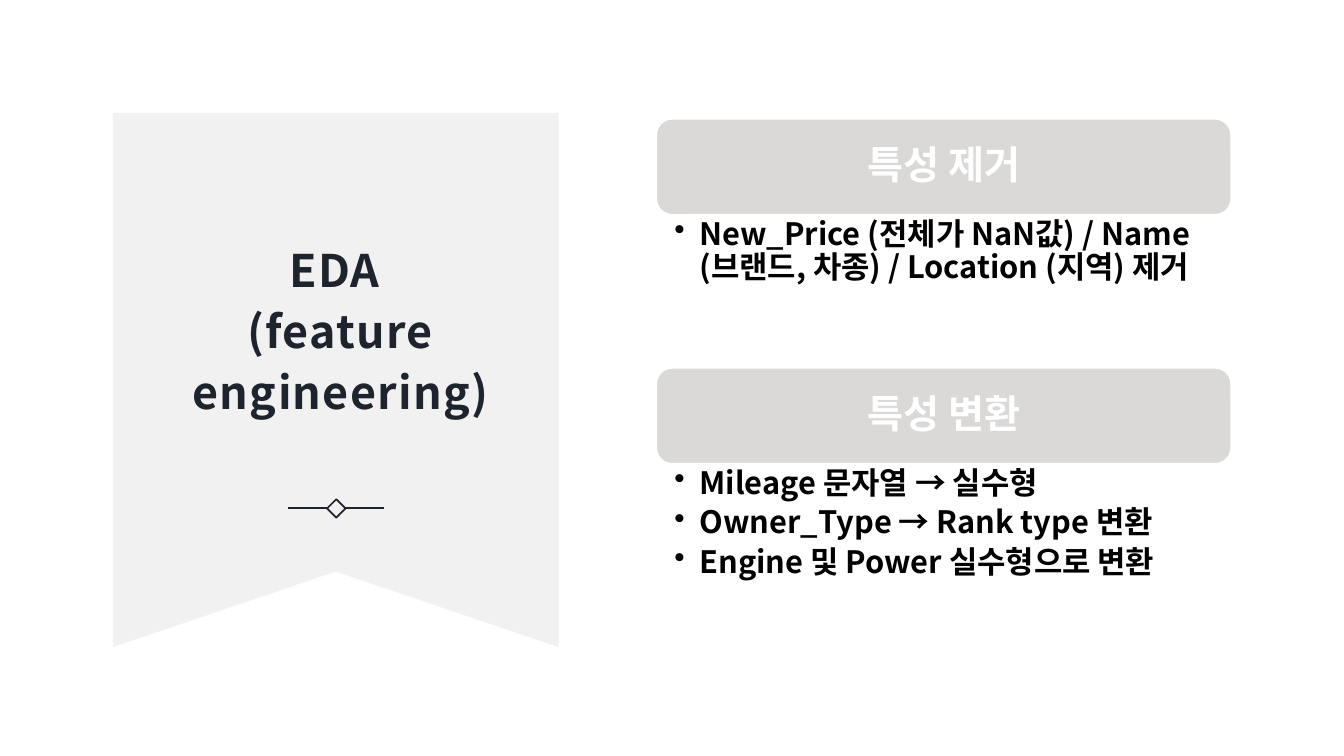
from lxml import etree
from pptx import Presentation
from pptx import util as u
from pptx.dml.color import RGBColor
from pptx.enum import shapes, text
from pptx.oxml.ns import qn

# Content
TITLE = "EDA \v(feature engineering)"
SECTIONS = [
    ("특성 제거", ["New_Price (전체가 NaN값) / Name (브랜드, 차종) / Location (지역) 제거"]),
    ("특성 변환", ["Mileage 문자열 → 실수형",
                "Owner_Type → Rank type 변환",
                "Engine 및 Power 실수형으로 변환"]),
]
FONT = "Noto Sans CJK KR"
COLORS = {"ink": "1D242E", "ribbon": "F2F1F1", "card": "DBD8D8",
          "white": "FFFFFF", "black": "000000"}

# Layout, in inches
RIBBON = [(1.12, 1.12), (5.54, 1.12), (5.54, 6.42), (3.33, 5.67), (1.12, 6.42)]
TITLE_BOX = (0.91, 1.81, 4.94, 2.85)
RULES_Y, RULES_X = 5.04, [(2.86, 3.24), (3.42, 3.81)]
DIAMOND_BOX = (3.27, 4.98, 0.13, 0.13)
LEFT, TOP, WIDTH, CARD_HEIGHT, PITCH = 6.51, 1.18, 5.7, 0.95, 2.47
BODY_HEIGHTS = [1.52, 1.74]


def color(name):
    return RGBColor.from_string(COLORS[name])


def inches(values):
    return [u.Inches(value) for value in values]


def set_frame(frame, margins, anchor):
    values = dict(zip(("margin_left", "margin_top", "margin_right", "margin_bottom"),
                      inches(margins)))
    values.update(word_wrap=True, auto_size=text.MSO_AUTO_SIZE.NONE,
                  vertical_anchor=anchor)
    for name, value in values.items():
        setattr(frame, name, value)


def set_para(para, size, ink, align, spacing, after=0):
    for name, value in {"alignment": align, "line_spacing": spacing,
                        "space_before": u.Pt(0), "space_after": u.Pt(after)}.items():
        setattr(para, name, value)
    for span in para.runs:
        for name, value in {"size": u.Pt(size), "bold": True, "name": FONT}.items():
            setattr(span.font, name, value)
        span.font.color.rgb = color(ink)
        east_asian = etree.SubElement(span.font._element, qn("a:ea"))
        east_asian.set("typeface", FONT)


def add_bullet(para):
    properties = para._p.get_or_add_pPr()
    properties.set("marL", str(u.Inches(0.25)))
    properties.set("indent", str(u.Inches(-0.25)))
    etree.SubElement(properties, qn("a:buChar")).set("char", "•")


def set_line(line, ink, width):
    line.color.rgb = color(ink)
    line.width = u.Pt(width)


deck = Presentation()
deck.slide_width, deck.slide_height = u.Inches(13.33), u.Inches(7.5)
page = deck.slides.add_slide(deck.slide_layouts[5])

# Ribbon, sent behind the title
builder = page.shapes.build_freeform(*inches(RIBBON[0]))
builder.add_line_segments([inches(point) for point in RIBBON[1:]], close=True)
ribbon = builder.convert_to_shape()
ribbon.shadow.inherit = False
ribbon.fill.solid()
ribbon.fill.fore_color.rgb = color("ribbon")
ribbon.line.fill.background()
title = page.shapes.title
title._element.addprevious(ribbon._element)

# Title
title.left, title.top, title.width, title.height = inches(TITLE_BOX)
title.text_frame.text = TITLE
set_frame(title.text_frame, (0.12, 0.12, 0.12, 0.1), text.MSO_ANCHOR.MIDDLE)
heading = title.text_frame.paragraphs[0]
set_para(heading, 32, "ink", text.PP_ALIGN.CENTER, 1.13)
for span in heading.runs:
    span.font._element.set("spc", "90")

# Ornament under the title
diamond = page.shapes.add_shape(shapes.MSO_SHAPE.RECTANGLE, *inches(DIAMOND_BOX))
diamond.rotation = 45
diamond.shadow.inherit = False
diamond.fill.background()
set_line(diamond.line, "ink", 1.25)
for start, end in RULES_X:
    rule = page.shapes.add_connector(shapes.MSO_CONNECTOR.STRAIGHT,
                                     *inches((start, RULES_Y, end, RULES_Y)))
    set_line(rule.line, "ink", 1.25)
    etree.SubElement(rule._element.spPr, qn("a:effectLst"))

# Section cards with their bullet lists
for index, ((label, points), height) in enumerate(zip(SECTIONS, BODY_HEIGHTS)):
    top = TOP + index * PITCH
    card = page.shapes.add_shape(shapes.MSO_SHAPE.ROUNDED_RECTANGLE,
                                 *inches((LEFT, top, WIDTH, CARD_HEIGHT)))
    card.shadow.inherit = False
    card.fill.solid()
    card.fill.fore_color.rgb = color("card")
    set_line(card.line, "white", 1)
    card.text_frame.text = label
    set_frame(card.text_frame, (0.12,) * 4, text.MSO_ANCHOR.MIDDLE)
    set_para(card.text_frame.paragraphs[0], 28, "white", text.PP_ALIGN.CENTER, 0.9)

    body = page.shapes.add_textbox(*inches((LEFT, top + CARD_HEIGHT, WIDTH, height)))
    body.text_frame.text = "\n".join(points)
    set_frame(body.text_frame, (0.18, 0.04, 0.22, 0.04), text.MSO_ANCHOR.TOP)
    for para in body.text_frame.paragraphs:
        set_para(para, 22, "black", text.PP_ALIGN.LEFT, 0.9, after=4.4)
        add_bullet(para)

deck.save("out.pptx")
